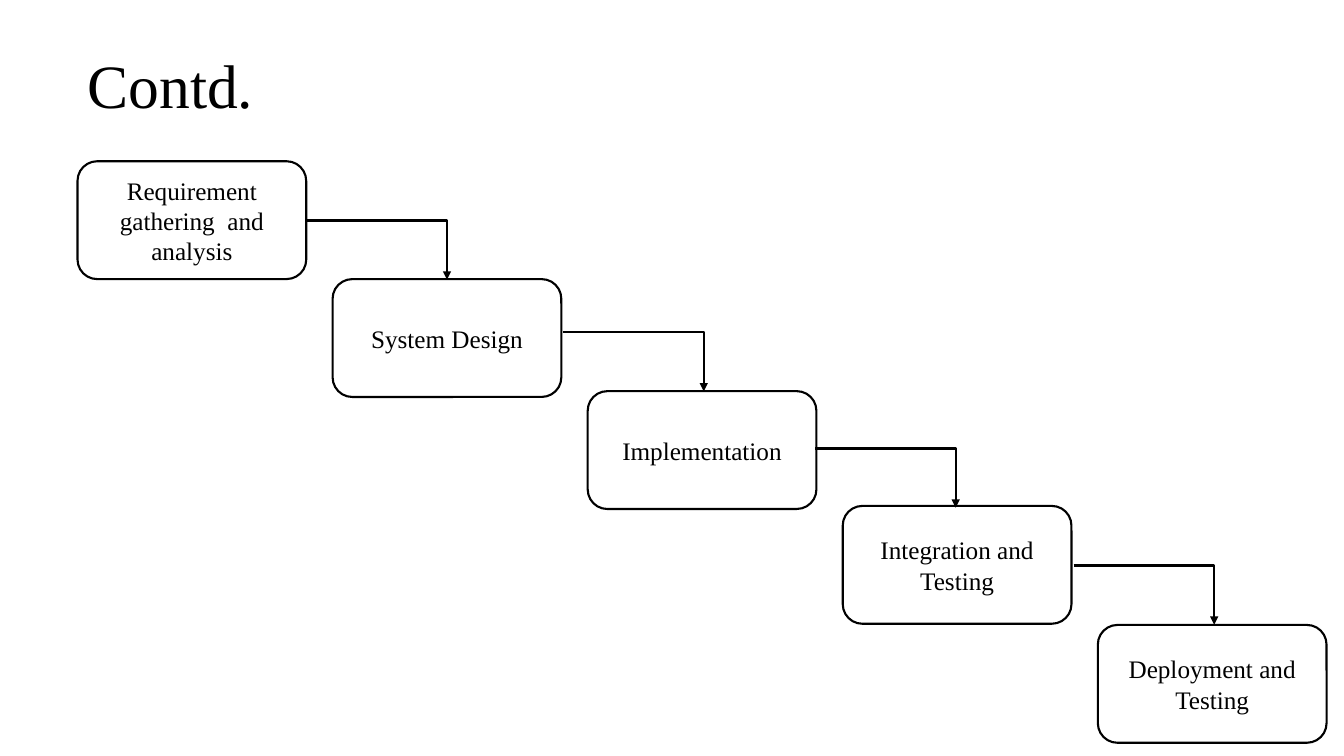
from pptx import Presentation
from pptx.dml.color import RGBColor
from pptx.enum.shapes import MSO_CONNECTOR as Link, MSO_SHAPE as Shape
from pptx.enum.text import MSO_ANCHOR as Anchor, PP_ALIGN as Align
from pptx.oxml.ns import qn
from pptx.util import Pt
from lxml.etree import SubElement

COLOURS = {"ink": "000000", "paper": "FFFFFF"}
FONT = "Times New Roman"
BOX_LEFT, BOX_STEP = 55.4, 182.2
BOX_WIDTH, BOX_HEIGHT = 163.4, 84.2
ARROW_WIDTH, ARROW_HEIGHT = 100.4, 42.3
STAGES = [
    ("Requirement gathering  and analysis", 115.2),
    ("System Design", 199.4),
    ("Implementation", 279.4),
    ("Integration and Testing", 361.4),
    ("Deployment and Testing", 446.4),
]
ARROW_STARTS = [(218.9, 157.5), (402.3, 237.3), (582.3, 320.4), (766.9, 404.0)]


def colour(name):
    return RGBColor.from_string(COLOURS[name])


def apply(target, values):
    for name, value in values.items():
        setattr(target, name, value)


def write(box, text, size, para_format):
    apply(box.text_frame, {"word_wrap": True, "vertical_anchor": Anchor.MIDDLE})
    para = box.text_frame.paragraphs[0]
    apply(para, para_format)
    span = para.add_run()
    span.text = text
    apply(span.font, {"name": FONT, "size": Pt(size)})
    span.font.color.rgb = colour("ink")


def outline(item):
    item.line.width = Pt(1.5)
    item.line.color.rgb = colour("ink")


def add_title(page, text):
    box = page.shapes.add_textbox(Pt(55.4), Pt(10.8), Pt(828), Pt(104.4))
    write(box, text, 44, {"line_spacing": 0.9})


def add_stage(page, text, left, top):
    box = page.shapes.add_shape(
        Shape.ROUNDED_RECTANGLE, Pt(left), Pt(top), Pt(BOX_WIDTH), Pt(BOX_HEIGHT)
    )
    box.shadow.inherit = False
    box.fill.solid()
    box.fill.fore_color.rgb = colour("paper")
    outline(box)
    write(box, text, 18, {"alignment": Align.CENTER})


def add_arrow(page, left, top):
    arrow = page.shapes.add_connector(
        Link.ELBOW, Pt(left), Pt(top), Pt(left + ARROW_WIDTH), Pt(top + ARROW_HEIGHT)
    )
    outline(arrow)
    properties = arrow._element.spPr
    properties.find(qn("a:prstGeom")).set("prst", "bentConnector2")
    SubElement(properties.find(qn("a:ln")), qn("a:tailEnd")).set("type", "triangle")
    SubElement(properties, qn("a:effectLst"))


def main():
    deck = Presentation()
    apply(deck, {"slide_width": Pt(960), "slide_height": Pt(540)})
    page = deck.slides.add_slide(deck.slide_layouts[6])
    add_title(page, "Contd.")
    for index, (text, top) in enumerate(STAGES):
        add_stage(page, text, BOX_LEFT + index * BOX_STEP, top)
    for left, top in ARROW_STARTS:
        add_arrow(page, left, top)
    deck.save("out.pptx")


main()
